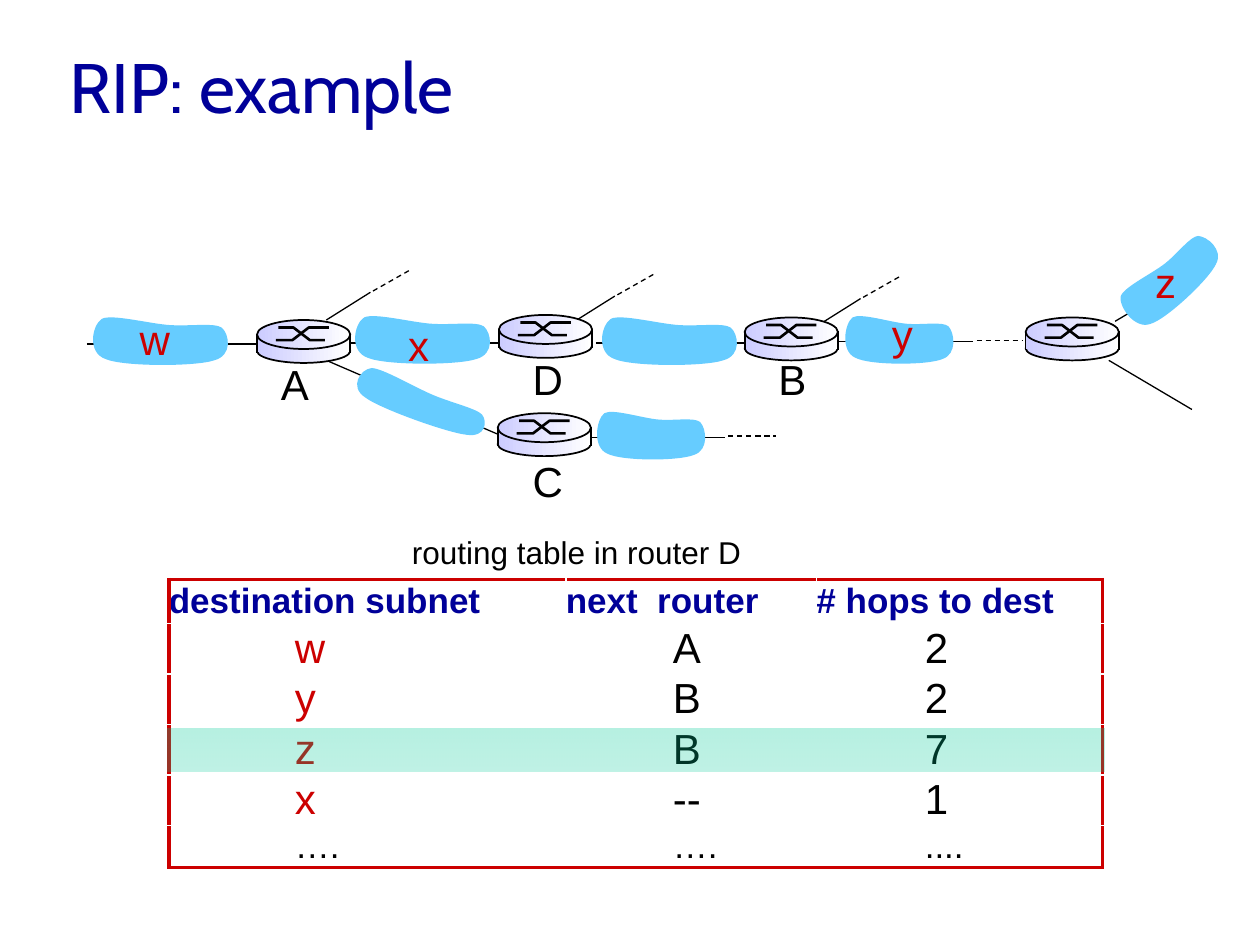
from dataclasses import dataclass

from lxml import etree
from pptx import Presentation
from pptx import util as u
from pptx.dml.color import RGBColor
from pptx.enum import dml, shapes, text
from pptx.oxml import ns

Inches = u.Inches


@dataclass(frozen=True)
class Theme:
    body_font: str = "Arial"
    title_font: str = "Cabin"
    black: str = "000000"
    navy: str = "000099"
    red: str = "CC0000"
    sky: str = "66CCFF"
    lilac: str = "CCCCFF"
    white: str = "FFFFFF"
    green: str = "00CC99"
    title_size: int = 40
    large: int = 24
    medium: int = 20
    small: int = 18


THEME = Theme()

# Start point, then three points for each Bezier curve, in a 1.16 x 0.42 box.
SUBNET_SIZE = (1.16, 0.42)
SUBNET_OUTLINE = [
    (0.66, 0.09),
    (0.5, 0.08), (0.2, 0), (0.12, 0.04),
    (0.04, 0.09), (0, 0.31), (0.15, 0.36),
    (0.29, 0.42), (0.86, 0.42), (1.01, 0.37),
    (1.16, 0.33), (1.13, 0.16), (1.07, 0.11),
    (1.01, 0.07), (0.82, 0.1), (0.66, 0.09),
]
SUBNETS = [  # left, top, width, height, rotation
    (2.77, 2.48, 1.16, 0.42, 0),
    (2.76, 3.04, 1.16, 0.31, 19.7),
    (0.69, 2.49, 1.16, 0.42, 0),
    (4.73, 2.49, 1.16, 0.42, 0),
    (6.67, 2.48, 0.93, 0.42, 0),
    (8.81, 2.01, 0.95, 0.42, 316.8),
    (4.7, 3.24, 0.93, 0.42, 0),
]
LINKS = [  # start, end, width in points
    ((6.65, 2.71), (7.72, 2.71), 0.75),
    ((2.77, 2.72), (4.12, 2.72), 1),
    ((4.73, 2.72), (6.09, 2.72), 1),
    ((0.69, 2.73), (2.05, 2.73), 1),
    ((8.85, 2.55), (9.51, 2.16), 0.75),
    ((8.8, 2.86), (9.46, 3.25), 0.75),
    ((2.59, 2.86), (3.96, 3.45), 0.75),
    ((4.68, 3.47), (5.75, 3.47), 0.75),
]
DASHED_LINKS = [((7.75, 2.7), (8.12, 2.7)), ((5.78, 3.46), (6.16, 3.46))]
BRANCHES = [(2.59, 2.54), (4.53, 2.57), (6.48, 2.59)]
ROUTERS = [(3.96, 2.5), (5.91, 2.52), (8.14, 2.52), (3.95, 3.28), (2.04, 2.54)]
SUBNET_LABELS = [("w", 1.01, 2.44, 0.44), ("x", 3.14, 2.49, 0.36),
                 ("y", 6.98, 2.4, 0.36), ("z", 9.07, 1.99, 0.36)]
ROUTER_LABELS = [("A", 2.13, 2.8, 0.42), ("C", 4.13, 3.57, 0.44),
                 ("D", 4.13, 2.76, 0.44), ("B", 6.08, 2.76, 0.42)]
ROUTES = [
    ("destination subnet", "next  router", "# hops to dest"),
    ("w", "A", "2"),
    ("y", "B", "2"),
    ("z", "B", "7"),
    ("x", "--", "1"),
    ("….", "….", "...."),
]
COLUMN_WIDTHS = (3.15, 1.99, 2.27)
COLUMN_INDENTS = (1, 0.85, 0.86)
ROW_HEIGHTS = (0.35, 0.4, 0.4, 0.4, 0.4, 0.32)


def rgb(color):
    return RGBColor.from_string(color)


def write(frame, content, size=THEME.large, color=THEME.black, font=THEME.body_font, bold=False):
    paragraph = frame.paragraphs[0]
    paragraph.alignment = text.PP_ALIGN.LEFT
    run = paragraph.add_run()
    run.text = content
    run.font.name, run.font.size, run.font.bold = font, u.Pt(size), bold
    run.font.color.rgb = rgb(color)


def add_label(slide, content, left, top, width, height=0.5, **style):
    box = slide.shapes.add_textbox(*map(Inches, (left, top, width, height)))
    box.text_frame.word_wrap = False
    write(box.text_frame, content, **style)


def add_line(parent, start, end, width=0.75, dashed=False):
    line = parent.shapes.add_connector(shapes.MSO_CONNECTOR.STRAIGHT, *map(Inches, (*start, *end)))
    line.line.color.rgb = rgb(THEME.black)
    line.line.width = u.Pt(width)
    if dashed:
        line.line.dash_style = dml.MSO_LINE.DASH
    etree.SubElement(line._element.spPr, ns.qn("a:effectLst"))


def add_outline(parent, points, close):
    corners = [(Inches(x), Inches(y)) for x, y in points]
    builder = parent.shapes.build_freeform(*corners[0])
    builder.add_line_segments(corners[1:], close=close)
    shape = builder.convert_to_shape()
    shape.shadow.inherit = False
    return shape


def add_subnet(slide, left, top, width, height, rotation):
    x_scale, y_scale = width / SUBNET_SIZE[0], height / SUBNET_SIZE[1]
    points = [(left + x * x_scale, top + y * y_scale) for x, y in SUBNET_OUTLINE]
    subnet = add_outline(slide, points, close=True)
    segments = list(subnet._element.iter(ns.qn("a:lnTo")))
    for first in range(0, len(segments), 3):
        curve = etree.Element(ns.qn("a:cubicBezTo"))
        segments[first].addprevious(curve)
        for segment in segments[first:first + 3]:
            curve.append(segment[0])
            segment.getparent().remove(segment)
    subnet.fill.solid()
    subnet.fill.fore_color.rgb = rgb(THEME.sky)
    subnet.line.fill.background()
    subnet.rotation = rotation


def add_gradient_shape(parent, kind, box, colors, angle=0, outlined=False):
    shape = parent.shapes.add_shape(kind, *map(Inches, box))
    shape.shadow.inherit = False
    shape.fill.gradient()
    shape.fill.gradient_angle = angle
    for stop, color, position in zip(shape.fill.gradient_stops, colors, (0, 1)):
        stop.color.rgb = rgb(color)
        stop.position = position
    if outlined:
        shape.line.color.rgb = rgb(THEME.black)
        shape.line.width = u.Pt(1)
    else:
        shape.line.fill.background()
    return shape


def add_router(slide, left, top):
    group = slide.shapes.add_group_shape()
    oval, rectangle = shapes.MSO_SHAPE.OVAL, shapes.MSO_SHAPE.RECTANGLE
    for kind, offset, height in ((oval, 0.15, 0.19), (rectangle, 0.13, 0.12), (oval, 0, 0.23)):
        add_gradient_shape(group, kind, (left, top + offset, 0.74, height),
                           (THEME.lilac, THEME.white), outlined=kind == oval)
    rising = [(0.15, 0.16), (0.28, 0.16), (0.41, 0.06), (0.57, 0.06)]
    falling = [(0.17, 0.06), (0.29, 0.06), (0.42, 0.16), (0.54, 0.16)]
    for strand in (rising, falling):
        arm = add_outline(group, [(left + x, top + y) for x, y in strand], close=False)
        arm.fill.background()
        arm.line.color.rgb = rgb(THEME.black)
        arm.line.width = u.Pt(1.5)
    for side in (left, left + 0.74):
        add_line(group, (side, top + 0.11), (side, top + 0.26), 1)


def add_branch(slide, x, y):
    group = slide.shapes.add_group_shape()
    add_line(group, (x, y), (x + 0.35, y - 0.22))
    add_line(group, (x + 0.37, y - 0.23), (x + 0.67, y - 0.4), dashed=True)


def set_borders(cell, sides):
    """Draw the red frame on the given sides, in the order L, R, T, B."""
    properties = cell._tc.get_or_add_tcPr()
    for index, side in enumerate(sides):
        border = etree.Element(ns.qn(f"a:ln{side}"), w=str(u.Pt(2.25)))
        fill = etree.SubElement(border, ns.qn("a:solidFill"))
        etree.SubElement(fill, ns.qn("a:srgbClr"), val=THEME.red)
        properties.insert(index, border)


def add_routing_table(slide):
    last_row, last_column = len(ROUTES) - 1, len(COLUMN_WIDTHS) - 1
    frame = slide.shapes.add_table(len(ROUTES), len(COLUMN_WIDTHS), Inches(1.34), Inches(4.6),
                                   Inches(sum(COLUMN_WIDTHS)), Inches(sum(ROW_HEIGHTS)))
    table = frame.table
    table.first_row = table.horz_banding = False
    for column, width in zip(table.columns, COLUMN_WIDTHS):
        column.width = Inches(width)
    for r, values in enumerate(ROUTES):
        table.rows[r].height = Inches(ROW_HEIGHTS[r])
        header, ellipsis = r == 0, r == last_row
        for c, value in enumerate(values):
            cell = table.cell(r, c)
            cell.fill.background()
            cell.margin_right = cell.margin_top = cell.margin_bottom = 0
            cell.margin_left = 0 if header else Inches(COLUMN_INDENTS[c])
            cell.vertical_anchor = text.MSO_ANCHOR.MIDDLE
            body_color = THEME.red if c == 0 and not ellipsis else THEME.black
            write(cell.text_frame, value, bold=header,
                  size=THEME.medium if header or ellipsis else THEME.large,
                  color=THEME.navy if header else body_color)
            edges = {"L": c == 0, "R": c == last_column, "T": header, "B": ellipsis}
            set_borders(cell, [side for side, drawn in edges.items() if drawn])


def add_highlight(slide):
    band = add_gradient_shape(slide, shapes.MSO_SHAPE.RECTANGLE, (1.33, 5.78, 7.44, 0.34),
                              (THEME.green, THEME.green), angle=270)
    for color, opacity in zip(band._element.spPr.iter(ns.qn("a:srgbClr")), (29, 25)):
        etree.SubElement(color, ns.qn("a:alpha"), val=str(opacity * 1000))


def add_title(slide, content):
    title = slide.shapes.title
    title.left, title.top, title.width, title.height = map(Inches, (0.45, 0.21, 4.31, 0.94))
    title.text_frame.vertical_anchor = text.MSO_ANCHOR.MIDDLE
    write(title.text_frame, content, size=THEME.title_size, color=THEME.navy, font=THEME.title_font)


def main():
    presentation = Presentation()
    presentation.slide_width, presentation.slide_height = Inches(10), Inches(7.5)
    slide = presentation.slides.add_slide(presentation.slide_layouts[5])
    add_title(slide, "RIP: example")
    for start, end, width in LINKS:
        add_line(slide, start, end, width)
    for start, end in DASHED_LINKS:
        add_line(slide, start, end, dashed=True)
    for subnet in SUBNETS:
        add_subnet(slide, *subnet)
    for label in SUBNET_LABELS:
        add_label(slide, *label, color=THEME.red)
    for label in ROUTER_LABELS:
        add_label(slide, *label)
    for branch in BRANCHES:
        add_branch(slide, *branch)
    for router in ROUTERS:
        add_router(slide, *router)
    add_label(slide, "routing table in router D", 3.17, 4.18, 2.81, 0.4, size=THEME.small)
    add_routing_table(slide)
    add_highlight(slide)
    presentation.save("out.pptx")


if __name__ == "__main__":
    main()
